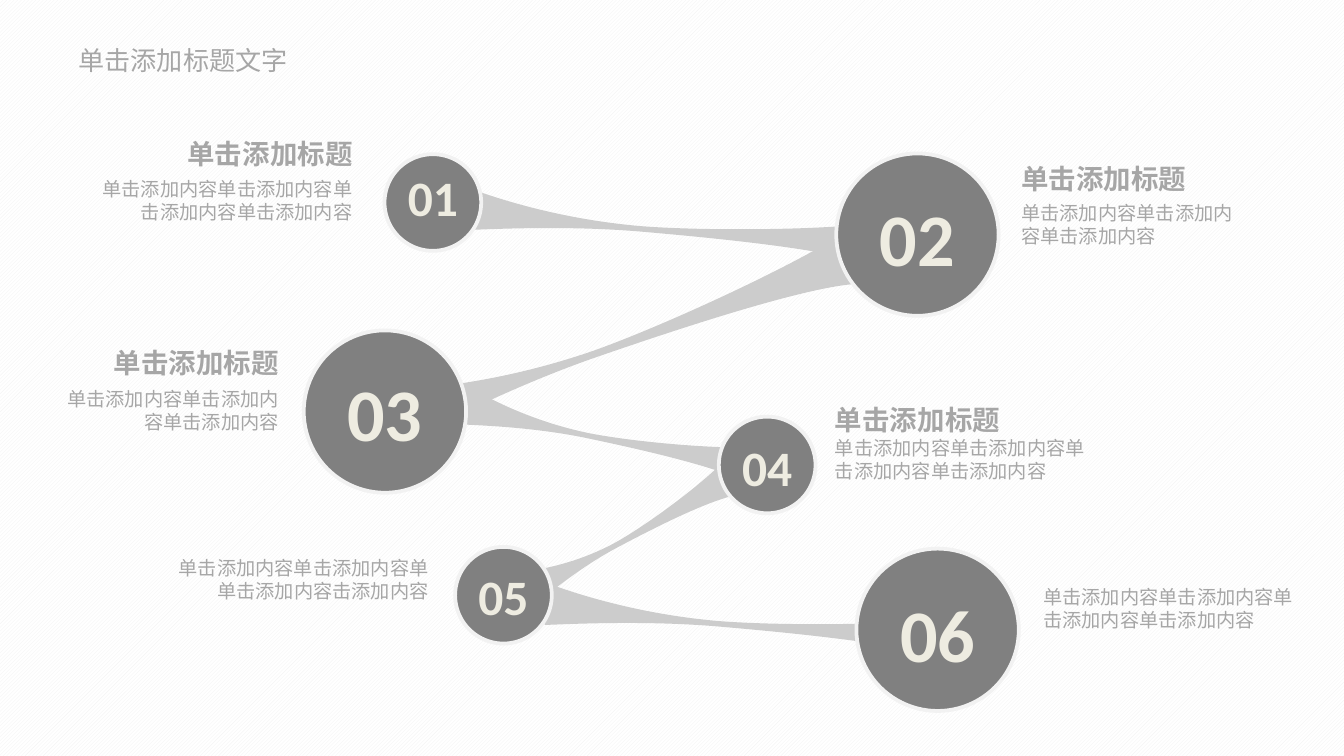
from lxml.etree import SubElement
from pptx import Presentation
from pptx.dml.color import RGBColor
from pptx.enum.dml import MSO_PATTERN
from pptx.enum.shapes import MSO_SHAPE
from pptx.enum.text import MSO_ANCHOR, MSO_AUTO_SIZE, PP_ALIGN
from pptx.oxml.ns import qn
from pptx.util import Pt

WHITE = RGBColor(0xFF, 0xFF, 0xFF)
PALE = RGBColor(0xF2, 0xF2, 0xF2)
BAND = RGBColor(0xCC, 0xCC, 0xCC)
DISC = RGBColor(0x80, 0x80, 0x80)
CREAM = RGBColor(0xEE, 0xEC, 0xE1)
GREY = RGBColor(0xA6, 0xA6, 0xA6)
LATIN, HAN = "Calibri", "Noto Sans CJK SC"
LEFT, MID, RIGHT = PP_ALIGN.LEFT, PP_ALIGN.CENTER, PP_ALIGN.RIGHT

TITLE = "单击添加标题文字"
HEAD = "单击添加标题"
SHORT = "单击添加内容单击添加内容单击添加内容"
LONG = "单击添加内容单击添加内容单击添加内容单击添加内容"
MIXED = "单击添加内容单击添加内容单单击添加内容击添加内容"

SIZES = {
    "small": (51.8, 45.4, 33, 26.5),
    "big": (87, 62, 46, 39.7),
}
DISCS = [
    ("01", "small", 231.9, 108.5, 0),
    ("02", "big", 491.5, 125.7, 6),
    ("03", "big", 206.2, 220.5, 4.8),
    ("04", "small", 411, 249.1, 4.3),
    ("05", "small", 269.7, 318.9, 3.6),
    ("06", "big", 502.3, 337.4, 6.6),
]
NOTES = [
    (RIGHT, 196.1, 69.8, 91.4, 153.4, LONG),
    (LEFT, 540, 83.5, 104.4, 135.4, SHORT),
    (RIGHT, 156.6, 181.9, 203.8, 131.8, SHORT),
    (LEFT, 440.2, 212.4, 230.4, 153.4, LONG),
    (RIGHT, 236.9, None, 294.5, 153.4, MIXED),
    (LEFT, 551.8, None, 309.9, 153.4, LONG),
]
BANDS = [
    (292.3, 321.8, 216, 22.3, 4.9),
    (271.4, 275, 130.3, 21.6, 331.9),
    (245.5, 222.5, 162, 21.6, 11.8),
    (250.6, 110.2, 216, 22.3, 4.9),
    (205.2, 166.3, 258.5, 28.8, 340.9),
]
EDGES = [
    (0, 0), (0.11, 0.29), (0.26, 0.55), (0.43, 0.55),
    (0.59, 0.54), (0.89, 0.26), (1, 0),
    (1, 1), (0.9, 0.7), (0.58, 0.68), (0.42, 0.68),
    (0.25, 0.69), (0.09, 0.89), (0, 1),
]
BENDS = (0, 3, 7, 10)


def curve(shape):
    lines = list(shape._element.iter(qn("a:lnTo")))
    for first in BENDS:
        head, *rest = lines[first:first + 3]
        head.tag = qn("a:cubicBezTo")
        for line in rest:
            head.append(line[0])
            line.getparent().remove(line)


def put(shape, text, size, color, align=LEFT, bold=False, face=LATIN, wrap=True):
    frame = shape.text_frame
    frame.text = text
    frame.word_wrap = wrap
    frame.auto_size = MSO_AUTO_SIZE.SHAPE_TO_FIT_TEXT
    frame.vertical_anchor = MSO_ANCHOR.TOP
    para = frame.paragraphs[0]
    para.alignment = align
    font = para.runs[0].font
    font.name, font.size, font.bold = face, Pt(size), bold
    font.color.rgb = color
    SubElement(font._element, qn("a:ea"), typeface=HAN)
    return frame


def box(x, y, w, h):
    return slide.shapes.add_textbox(Pt(x), Pt(y), Pt(w), Pt(h))


deck = Presentation()
deck.slide_width, deck.slide_height = Pt(720), Pt(405)
slide = deck.slides.add_slide(deck.slide_layouts[5])
back = slide.background.fill
back.patterned()
back.pattern = MSO_PATTERN.LIGHT_UPWARD_DIAGONAL
back.fore_color.rgb, back.back_color.rgb = PALE, WHITE

title = slide.shapes.title
title.left, title.top, title.width, title.height = Pt(37), Pt(20.9), Pt(123.8), Pt(22.3)
frame = put(title, TITLE, 14, GREY, face=HAN, wrap=False)
frame.margin_left = frame.margin_right = Pt(5)
frame.margin_top = frame.margin_bottom = Pt(2.9)

for x, y, w, h, turn in BANDS:
    dots = [(Pt(x + u * w), Pt(y + v * h)) for u, v in EDGES]
    pen = slide.shapes.build_freeform(*dots[0], scale=1.0)
    pen.add_line_segments(dots[1:], close=True)
    band = pen.convert_to_shape()
    curve(band)
    band.rotation = turn
    band.shadow.inherit = False
    band.fill.solid()
    band.fill.fore_color.rgb = BAND
    band.line.fill.background()

for label, kind, x, y, drop in DISCS:
    d, w, h, size = SIZES[kind]
    disc = slide.shapes.add_shape(
        MSO_SHAPE.OVAL, Pt(x - d / 2), Pt(y - d / 2), Pt(d), Pt(d))
    disc.shadow.inherit = False
    disc.fill.solid()
    disc.fill.fore_color.rgb = DISC
    disc.line.color.rgb = PALE
    disc.line.width = Pt(2)
    frame = put(box(x - w / 2, y + drop - h / 2, w, h), label, size, CREAM, MID, True)
    frame.paragraphs[0].line_spacing = 0.8

for align, edge, top, base, wide, text in NOTES:
    shift = 1 if align == RIGHT else 0
    put(box(edge - shift * wide, base, wide, 32.4), text, 10.3, GREY, align)
    if top is not None:
        put(box(edge - shift * 103.7, top, 103.7, 25.2), HEAD, 14.7, GREY,
            align, True, wrap=False)

deck.save("out.pptx")
